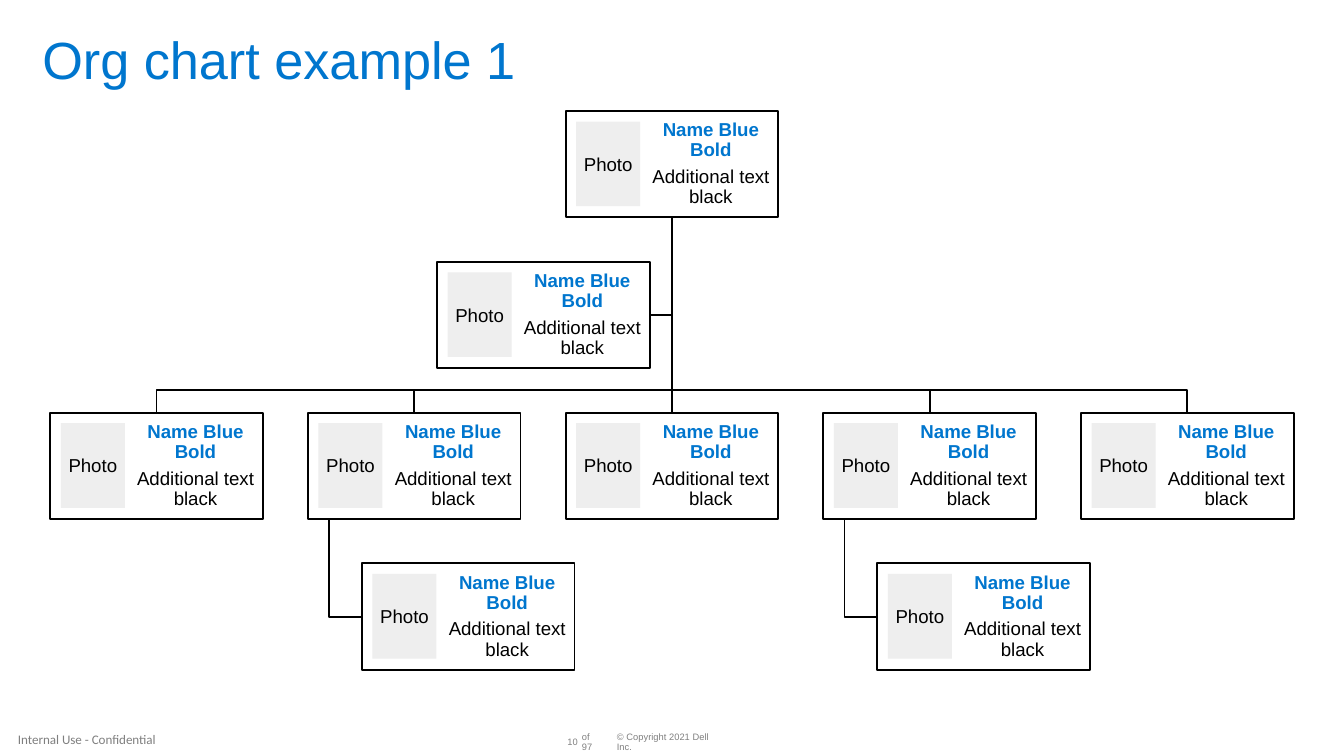
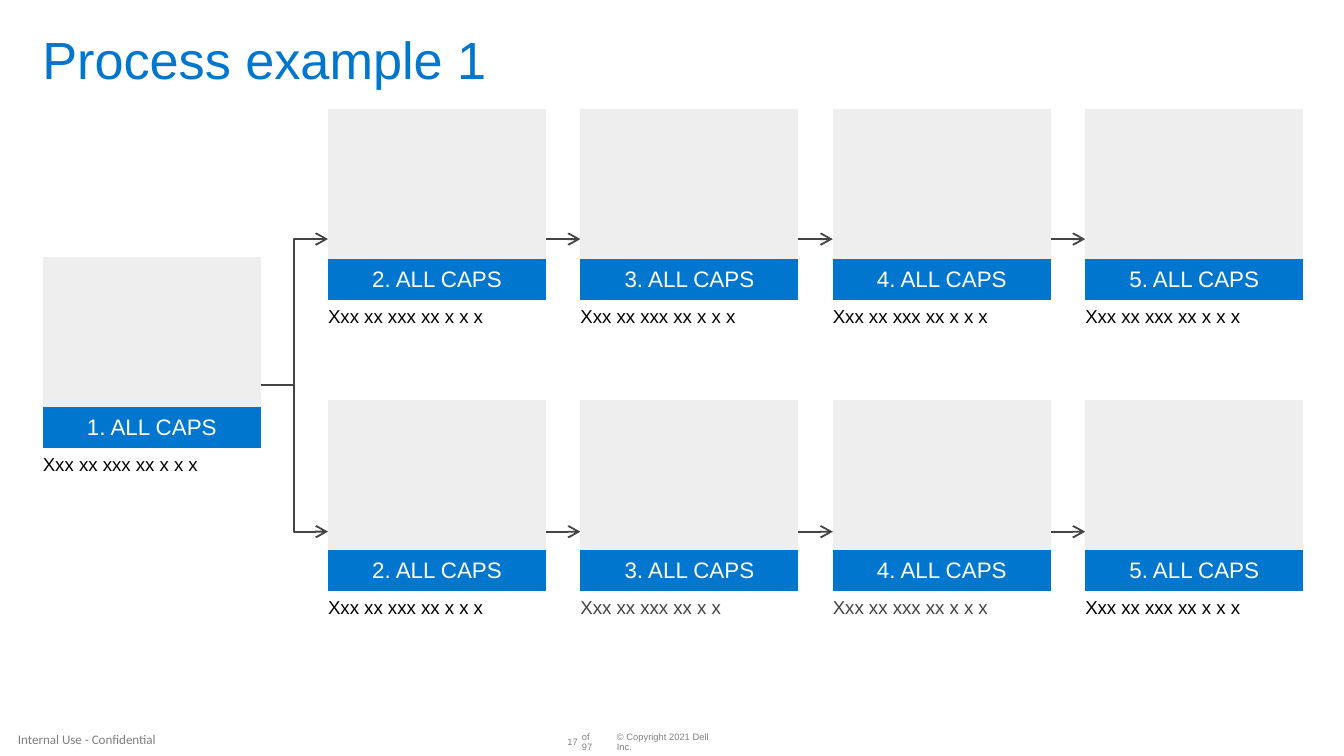
from lxml.etree import SubElement
from pptx import Presentation
from pptx.dml.color import RGBColor
from pptx.enum.shapes import MSO_CONNECTOR, MSO_SHAPE
from pptx.enum.text import MSO_ANCHOR, MSO_AUTO_SIZE, PP_ALIGN
from pptx.oxml.ns import qn
from pptx.util import Cm, Pt

BLUE = RGBColor(0x00, 0x76, 0xCE)
BLACK = RGBColor(0x00, 0x00, 0x00)
WHITE = RGBColor(0xFF, 0xFF, 0xFF)
PALE = RGBColor(0xEE, 0xEE, 0xEE)
DARK = RGBColor(0x44, 0x44, 0x44)
GREY = RGBColor(0x80, 0x80, 0x80)
FOOTER_GREY = RGBColor(0x7F, 0x7F, 0x7F)

NO_GRID_STYLE = "{2D5ABB26-0587-4C30-8999-92F81FD0307C}"

CARD_WIDTH, CARD_HEIGHT = 4.02, 2.01
CENTER = 12.7
COLUMN_PITCH = 4.87
ROW_TOPS = [2.1 + 2.85 * row for row in range(4)]
GAP = 0.42
CHILD_INDENT = 1.02
CHILD_DROP = 0.4

STEP_WIDTH = 4.12
STEP_PITCH = 4.77
FIRST_STEP_LEFT = 0.81
BRANCH_LEFT = 6.2
PICTURE_HEIGHT, CAPTION_HEIGHT = 2.84, 0.74


def lengths(*values):
    return [Cm(value) for value in values]


def write(frame, text, size=10, color=BLACK, font="Arial", bold=False,
          align=PP_ALIGN.LEFT, line_spacing=None, after=None, append=False):
    paragraph = frame.add_paragraph() if append else frame.paragraphs[0]
    paragraph.alignment = align
    if line_spacing:
        paragraph.line_spacing = line_spacing
    if after:
        paragraph.space_after = Pt(after)
    run = paragraph.add_run()
    run.text = text
    run.font.name = font
    run.font.size = Pt(size)
    run.font.bold = bold
    run.font.color.rgb = color


def set_margins(target, left=0, top=0, right=0, bottom=0):
    target.margin_left, target.margin_top = Cm(left), Cm(top)
    target.margin_right, target.margin_bottom = Cm(right), Cm(bottom)


class Deck:
    def __init__(self):
        self.presentation = Presentation()
        self.presentation.slide_width = Cm(25.4)
        self.presentation.slide_height = Cm(14.29)
        self.slide = None

    def start_slide(self, title, number):
        layout = self.presentation.slide_layouts[5]
        self.slide = self.presentation.slides.add_slide(layout)
        self.text_box("© Copyright 2021 Dell Inc.", 11.66, 13.94, 2, 0.2)
        self.text_box(str(number), 10.7, 13.94, 0.22, 0.2, align=PP_ALIGN.RIGHT)
        self.text_box("of 97", 11, 13.94, 0.37, 0.2)
        self.text_box("Internal Use - Confidential", 0, 13.69, 3.3, 0.58, indent=0.34,
                      size=7, color=FOOTER_GREY, font="Calibri", line_spacing=None)
        shape = self.slide.shapes.title
        shape.left, shape.top, shape.width, shape.height = lengths(0.8, 0.64, 23.82, 1.07)
        frame = shape.text_frame
        frame.auto_size = MSO_AUTO_SIZE.NONE
        frame.vertical_anchor = MSO_ANCHOR.TOP
        set_margins(frame)
        write(frame, title, size=28, color=BLUE, line_spacing=0.9)

    def text_box(self, text, left, top, width, height, indent=0, size=5, color=GREY,
                 line_spacing=0.9, **style):
        shape = self.slide.shapes.add_textbox(*lengths(left, top, width, height))
        frame = shape.text_frame
        frame.word_wrap = True
        frame.vertical_anchor = MSO_ANCHOR.MIDDLE
        set_margins(frame, left=indent)
        write(frame, text, size=size, color=color, line_spacing=line_spacing, **style)

    def rectangle(self, shapes, left, top, width, height, fill, outline=None):
        shape = shapes.add_shape(MSO_SHAPE.RECTANGLE, *lengths(left, top, width, height))
        shape.shadow.inherit = False
        shape.fill.solid()
        shape.fill.fore_color.rgb = fill
        if outline is None:
            shape.line.fill.background()
        else:
            self.set_line(shape, outline)
        frame = shape.text_frame
        frame.word_wrap = True
        frame.vertical_anchor = MSO_ANCHOR.MIDDLE
        set_margins(frame)
        return shape

    def card(self, left, top):
        shapes = self.slide.shapes.add_group_shape().shapes
        box = self.rectangle(shapes, left, top, CARD_WIDTH, CARD_HEIGHT, WHITE, BLACK)
        frame = box.text_frame
        set_margins(frame, 1.5, 0.03, 0.03, 0.03)
        style = dict(align=PP_ALIGN.CENTER, line_spacing=0.9, after=3.5)
        write(frame, "Name Blue Bold", color=BLUE, bold=True, **style)
        write(frame, "Additional text black", append=True, **style)
        photo = self.rectangle(shapes, left + 0.2, top + 0.2, 1.21, 1.6, PALE)
        write(photo.text_frame, "Photo", align=PP_ALIGN.CENTER)

    def set_line(self, shape, color):
        shape.line.color.rgb = color
        shape.line.width = Pt(1)

    def polyline(self, *points):
        start, *others = [lengths(*point) for point in points]
        builder = self.slide.shapes.build_freeform(*start)
        builder.add_line_segments(others, close=False)
        shape = builder.convert_to_shape()
        shape.shadow.inherit = False
        shape.fill.background()
        self.set_line(shape, BLACK)

    def connector(self, start, end, kind=MSO_CONNECTOR.STRAIGHT, color=DARK, arrow=True):
        connector = self.slide.shapes.add_connector(kind, *lengths(*start, *end))
        self.set_line(connector, color)
        if arrow:
            SubElement(connector.line._get_or_add_ln(), qn("a:tailEnd"), type="arrow")
        SubElement(connector._element.spPr, qn("a:effectLst"))

    def step(self, left, top, caption, note, note_height, note_color=BLACK):
        heights = [PICTURE_HEIGHT, CAPTION_HEIGHT, note_height]
        box = lengths(left, top, STEP_WIDTH, sum(heights))
        table = self.slide.shapes.add_table(3, 1, *box).table
        table.first_row = table.horz_banding = False
        table._tbl.tblPr.find(qn("a:tableStyleId")).text = NO_GRID_STYLE
        for row, height, fill in zip(table.rows, heights, [PALE, BLUE, WHITE]):
            row.height = Cm(height)
            row.cells[0].fill.solid()
            row.cells[0].fill.fore_color.rgb = fill
        caption_cell, note_cell = table.cell(1, 0), table.cell(2, 0)
        caption_cell.vertical_anchor = MSO_ANCHOR.MIDDLE
        write(caption_cell.text_frame, caption, size=12, color=WHITE, align=PP_ALIGN.CENTER)
        set_margins(note_cell, top=0.13, bottom=0.13)
        write(note_cell.text_frame, note, color=note_color)


def build_org_chart(deck):
    deck.start_slide("Org chart example 1", 10)
    top_row, assistant_row, team_row, child_row = ROW_TOPS
    root_bottom = top_row + CARD_HEIGHT
    bus = team_row - GAP
    half = CARD_WIDTH / 2

    deck.card(CENTER - half, top_row)
    assistant_middle = assistant_row + CARD_HEIGHT / 2
    deck.polyline((CENTER, root_bottom), (CENTER, assistant_middle),
                  (CENTER - GAP, assistant_middle))
    deck.card(CENTER - GAP - CARD_WIDTH, assistant_row)

    for column in range(-2, 3):
        middle = CENTER + column * COLUMN_PITCH
        left = middle - half
        if column == 0:
            deck.connector((CENTER, root_bottom), (CENTER, team_row),
                           color=BLACK, arrow=False)
        else:
            deck.polyline((CENTER, root_bottom), (CENTER, bus), (middle, bus),
                          (middle, team_row))
        deck.card(left, team_row)
        if abs(column) == 1:
            drop = left + CHILD_DROP
            child_middle = child_row + CARD_HEIGHT / 2
            deck.polyline((drop, team_row + CARD_HEIGHT), (drop, child_middle),
                          (left + CHILD_INDENT, child_middle))
            deck.card(left + CHILD_INDENT, child_row)


def build_process(deck):
    deck.start_slide("Process example 1", 17)
    note = "Xxx xx xxx xx x x x"
    deck.step(FIRST_STEP_LEFT, 4.86, "1. ALL CAPS", note, 1.19)
    branches = [
        (2.06, 4.52, 1.3, [(note, BLACK)] * 4),
        (7.56, 10.05, 1.37, [(note, BLACK), ("Xxx xx xxx xx x x", DARK),
                             (note, DARK), (note, BLACK)]),
    ]
    for top, arrow_y, note_height, notes in branches:
        deck.connector((FIRST_STEP_LEFT + STEP_WIDTH, 7.28), (BRANCH_LEFT, arrow_y),
                       kind=MSO_CONNECTOR.ELBOW)
        for index, (text, color) in enumerate(notes):
            left = BRANCH_LEFT + index * STEP_PITCH
            if index:
                deck.connector((left - STEP_PITCH + STEP_WIDTH, arrow_y), (left, arrow_y))
            deck.step(left, top, f"{index + 2}. ALL CAPS", text, note_height, color)


def main():
    deck = Deck()
    build_org_chart(deck)
    build_process(deck)
    deck.presentation.save("out.pptx")


if __name__ == "__main__":
    main()
